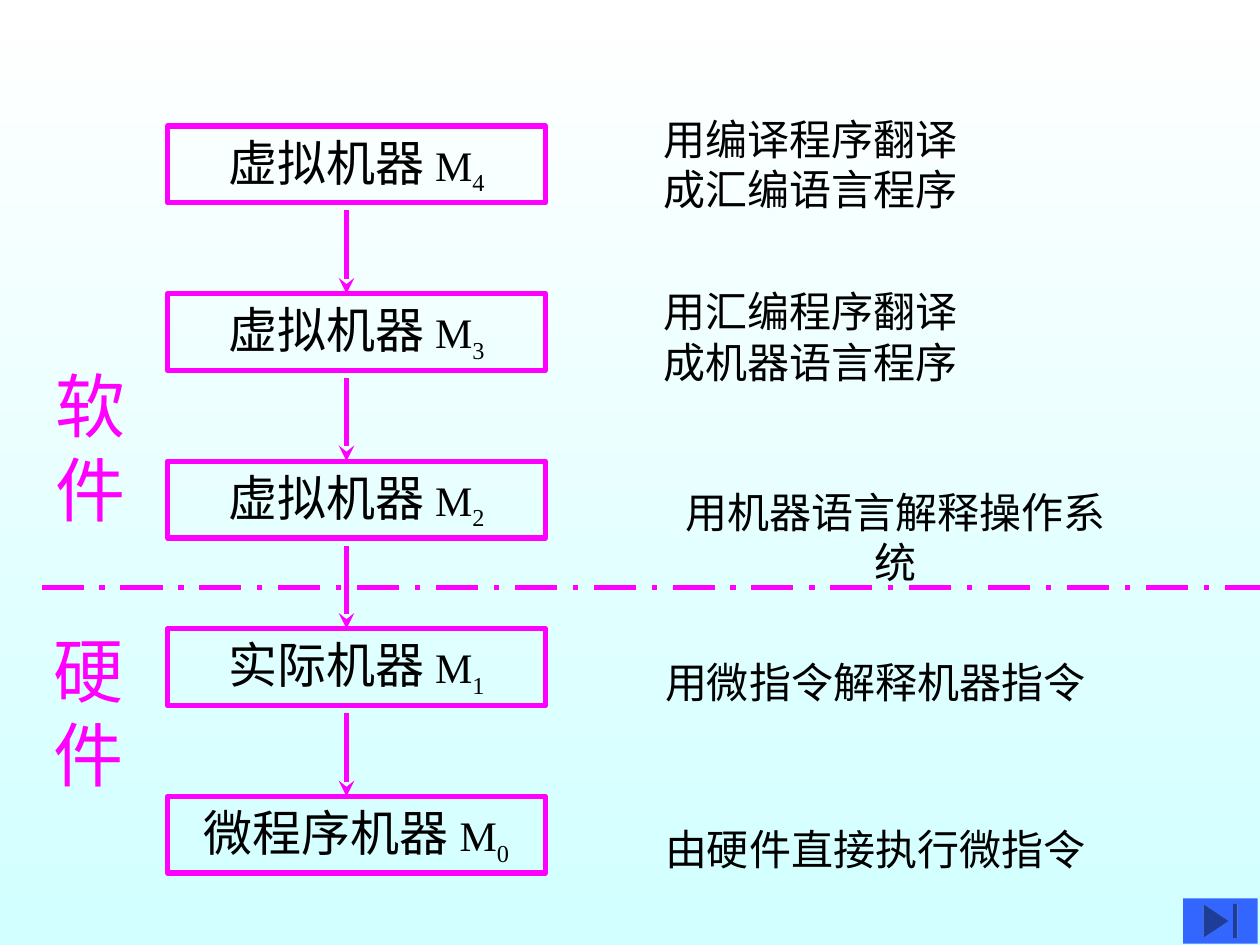
from lxml import etree
from pptx import Presentation
from pptx.dml.color import RGBColor
from pptx.enum.dml import MSO_LINE
from pptx.enum.shapes import MSO_CONNECTOR, MSO_SHAPE
from pptx.enum.text import MSO_ANCHOR, PP_ALIGN
from pptx.oxml.ns import qn
from pptx.util import Inches, Pt

RECT = MSO_SHAPE.RECTANGLE
END_BUTTON = MSO_SHAPE.ACTION_BUTTON_END
STRAIGHT = MSO_CONNECTOR.STRAIGHT
LONG_DASH_DOT = MSO_LINE.LONG_DASH_DOT
CENTER = PP_ALIGN.CENTER
TOP = MSO_ANCHOR.TOP

COLORS = {"accent": "FF00FF", "text": "000000", "button": "3366FF",
          "bg_top": "FFFFFF", "bg_bottom": "D2FFFF"}

# Machine levels, from top to bottom
MACHINES = [("虚拟机器", 4), ("虚拟机器", 3), ("虚拟机器", 2),
            ("实际机器", 1), ("微程序机器", 0)]
LEVEL_TOP, LEVEL_STEP = 1, 1.33

# Lines of text, then left, top, width, height
NOTES = [
    (["用编译程序翻译", "成汇编语言程序"], (5.17, 0.85, 2.53, 0.9)),
    (["用汇编程序翻译", "成机器语言程序"], (5.17, 2.22, 2.53, 0.9)),
    (["用机器语言解释操作系统"], (5.18, 3.81, 3.86, 0.5)),
    (["用微指令解释机器指令"], (5.18, 5.16, 3.53, 0.5)),
    (["由硬件直接执行微指令"], (5.18, 6.49, 3.53, 0.5)),
]
LAYERS = [(["软", "件"], (0.34, 2.83, 0.75, 1.44)),
          (["硬", "件"], (0.33, 4.93, 0.75, 1.44))]


def rgb(name):
    return RGBColor.from_string(COLORS[name])


def add_run(p, text, size, color="text", font="Arial"):
    r = p.add_run()
    r.text = text
    for key, value in {"name": font, "size": Pt(size)}.items():
        setattr(r.font, key, value)
    r.font.color.rgb = rgb(color)
    return r


def add_label(s, lines, box, size, color="text"):
    tf = s.shapes.add_textbox(*map(Inches, box)).text_frame
    tf.word_wrap = False
    for i, line in enumerate(lines):
        p = tf.add_paragraph() if i else tf.paragraphs[0]
        p.alignment = CENTER
        add_run(p, line, size, color)


def add_machine(s, name, level, top):
    sp = s.shapes.add_shape(RECT, Inches(1.33), Inches(top), Inches(3), Inches(0.61))
    sp.shadow.inherit = False
    sp.fill.background()
    sp.line.color.rgb = rgb("accent")
    sp.line.width = Pt(3)
    tf = sp.text_frame
    tf.vertical_anchor = TOP
    p = tf.paragraphs[0]
    p.alignment = CENTER
    add_run(p, name + " ", 28)
    add_run(p, "M", 24, font="Times New Roman")
    r = add_run(p, str(level), 24, font="Times New Roman")
    r.font._element.set("baseline", "-25000")


def add_line(s, x1, y1, x2, y2, dash=None, arrow=False):
    ln = s.shapes.add_connector(STRAIGHT, *map(Inches, (x1, y1, x2, y2)))
    ln.line.color.rgb = rgb("accent")
    ln.line.width = Pt(3)
    if dash is not None:
        ln.line.dash_style = dash
    if arrow:
        etree.SubElement(ln.line._get_or_add_ln(), qn("a:tailEnd"), type="stealth")
    etree.SubElement(ln._element.spPr, qn("a:effectLst"))


def add_end_button(s):
    sp = s.shapes.add_shape(END_BUTTON, *map(Inches, (9.39, 7.13, 0.59, 0.36)))
    sp.shadow.inherit = False
    sp.fill.solid()
    sp.fill.fore_color.rgb = rgb("button")
    sp.line.fill.background()


def set_background(s):
    fill = s.background.fill
    fill.gradient()
    fill.gradient_angle = 270
    for stop, name in zip(fill.gradient_stops, ("bg_top", "bg_bottom")):
        stop.color.rgb = rgb(name)


def main():
    prs = Presentation()
    prs.slide_width, prs.slide_height = Inches(10), Inches(7.5)
    s = prs.slides.add_slide(prs.slide_layouts[6])
    set_background(s)

    # Explanations on the right
    for lines, box in NOTES:
        add_label(s, lines, box, 24)

    # Border between software and hardware
    add_line(s, 0.33, 4.66, 10, 4.66, dash=LONG_DASH_DOT)
    for lines, box in LAYERS:
        add_label(s, lines, box, 40, "accent")

    # Stack of machines, joined by arrows
    tops = [LEVEL_TOP + i * LEVEL_STEP for i in range(len(MACHINES))]
    for (name, level), top in zip(MACHINES, tops):
        add_machine(s, name, level, top)
    for top in tops[:-1]:
        add_line(s, 2.75, top + 0.67, 2.75, top + LEVEL_STEP, arrow=True)

    add_end_button(s)
    prs.save("out.pptx")


if __name__ == "__main__":
    main()
